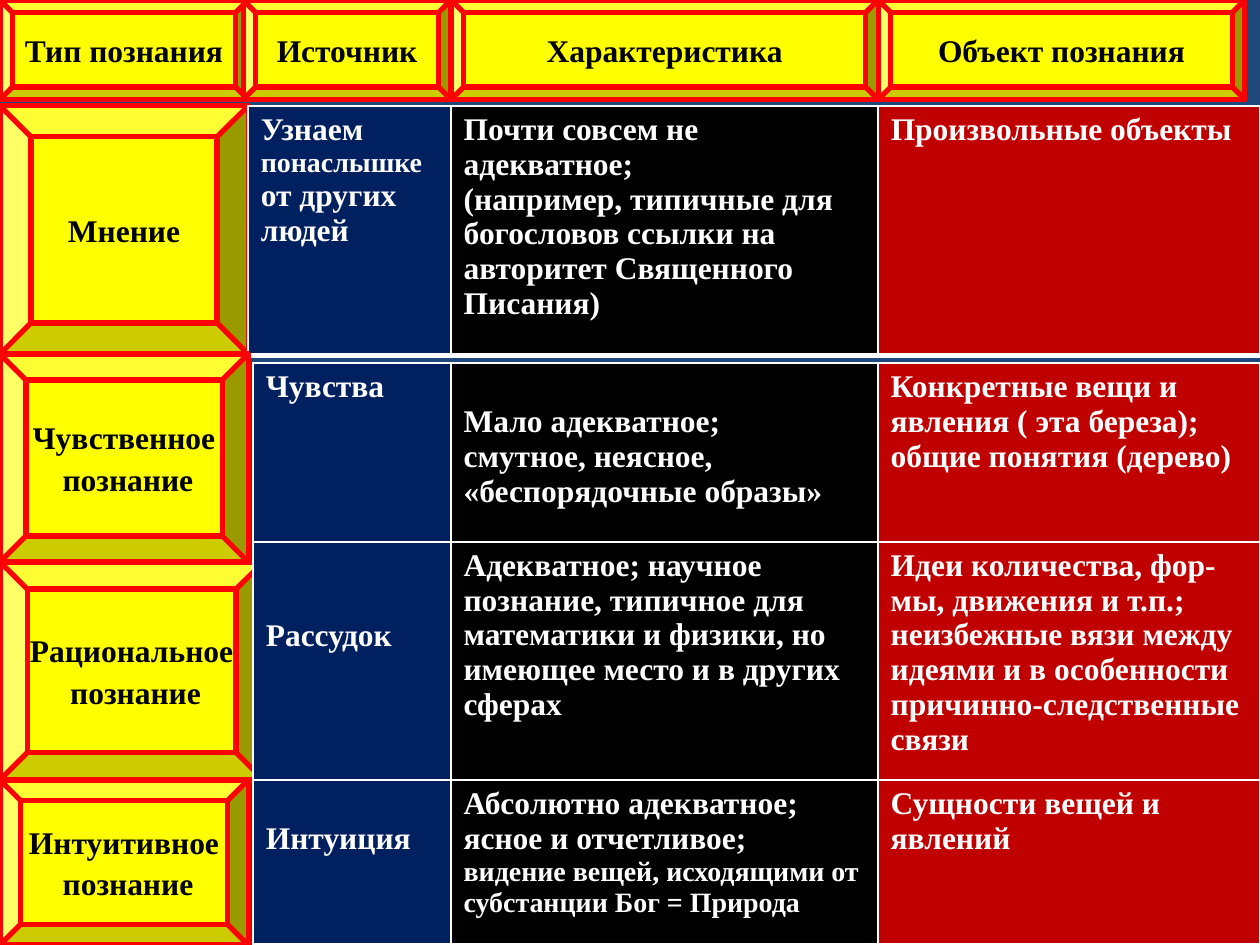
from dataclasses import dataclass

from lxml import etree
from pptx import Presentation
from pptx import util as u
from pptx.dml.color import RGBColor
from pptx.enum import shapes, text
from pptx.oxml.ns import qn

FONT = "Times New Roman"
BODY_SIZE, SMALL_SIZE = 18, 16
LINE_HEIGHT = 0.28
HEADER_HEIGHT = 0.79
SOURCE_RIGHT, TRAIT_RIGHT, SLIDE_RIGHT = 3.58, 6.97, 10
COLUMN_FILLS = ("002060", "000000", "C00000")
BORDER_WIDTHS = {"a:lnL": 1, "a:lnR": 1, "a:lnT": 1, "a:lnB": 3}


@dataclass(frozen=True)
class Piece:
    wording: str
    size: int = BODY_SIZE


@dataclass(frozen=True)
class Entry:
    pieces: tuple[Piece, ...]
    lines_down: int = 0


@dataclass(frozen=True)
class Bevel:
    lines: tuple[str, ...]
    left: float
    top: float
    width: float
    height: float


@dataclass(frozen=True)
class Knowledge:
    kind: Bevel
    left: float
    top: float
    height: float
    entries: tuple[Entry, Entry, Entry]


def entry(wording: str, lines_down: int = 0) -> Entry:
    return Entry((Piece(wording),), lines_down)


HEADERS = (
    Bevel(("Тип познания",), 0, 0, 1.97, HEADER_HEIGHT),
    Bevel(("Источник",), 1.93, 0, 1.65, HEADER_HEIGHT),
    Bevel(("Характеристика",), SOURCE_RIGHT, 0, 3.39, HEADER_HEIGHT),
    Bevel(("Объект познания",), TRAIT_RIGHT, 0, 2.91, HEADER_HEIGHT),
)

KNOWLEDGE = (
    Knowledge(
        Bevel(("Мнение",), 0, 0.84, 1.97, 1.97), 1.97, 0.84, 1.98,
        (
            Entry((Piece("Узнаем "), Piece("понаслышке ", SMALL_SIZE),
                   Piece("от других людей"))),
            entry("Почти совсем не адекватное;\n(например, типичные для "
                  "богословов ссылки на авторитет Священного Писания)"),
            entry("Произвольные объекты"),
        ),
    ),
    Knowledge(
        Bevel(("Чувственное", " познание"), 0, 2.81, 1.97, 1.65), 2.01, 2.88, 1.65,
        (
            entry("Чувства"),
            entry("Мало адекватное;\nсмутное, неясное,\n«беспорядочные образы»", 1),
            entry("Конкретные вещи и явления ( эта береза); общие понятия (дерево)"),
        ),
    ),
    Knowledge(
        Bevel(("Рациональное", " познание"), 0, 4.46, 2.09, 1.73), 2.01, 4.3, 2.05,
        (
            entry("Рассудок", 2),
            entry("Адекватное; научное познание, типичное для математики и физики, "
                  "но имеющее место и в других сферах"),
            entry("Идеи количества, фор-мы, движения и т.п.; неизбежные вязи между "
                  "идеями и в особенности причинно-следственные связи"),
        ),
    ),
    Knowledge(
        Bevel(("Интуитивное", " познание"), 0, 6.19, 1.97, 1.31), 2.01, 6.19, 1.31,
        (
            entry("Интуиция", 1),
            Entry((Piece("Абсолютно адекватное;\nясное и отчетливое;\n"),
                   Piece("видение вещей, исходящими от субстанции Бог = Природа",
                         SMALL_SIZE))),
            entry("Сущности вещей и явлений"),
        ),
    ),
)


def paint(fill, color: str) -> None:
    fill.solid()
    fill.fore_color.rgb = RGBColor.from_string(color)


def add_run(paragraph, wording: str, size: int, color: str) -> None:
    run = paragraph.add_run()
    run.text = wording
    run.font.name = FONT
    run.font.size = u.Pt(size)
    run.font.bold = True
    paint(run.font.fill, color)


def draw_bevel(slide, bevel: Bevel) -> None:
    plate = slide.shapes.add_shape(
        shapes.MSO_SHAPE.BEVEL, u.Inches(bevel.left), u.Inches(bevel.top),
        u.Inches(bevel.width), u.Inches(bevel.height))
    plate.shadow.inherit = False
    paint(plate.fill, "FFFF00")
    paint(plate.line.fill, "FF0000")
    plate.line.width = u.Pt(3)
    frame = plate.text_frame
    frame.word_wrap = False
    frame.vertical_anchor = text.MSO_ANCHOR.MIDDLE
    for index, line in enumerate(bevel.lines):
        paragraph = frame.add_paragraph() if index else frame.paragraphs[0]
        paragraph.alignment = text.PP_ALIGN.CENTER
        if index:
            paragraph.space_before = u.Pt(2)
        add_run(paragraph, line, BODY_SIZE, "000000")


def add_borders(cell) -> None:
    properties = cell._tc.get_or_add_tcPr()
    for position, (tag, width) in enumerate(BORDER_WIDTHS.items()):
        border = etree.Element(qn(tag), w=str(u.Pt(width)))
        fill = etree.SubElement(border, qn("a:solidFill"))
        etree.SubElement(fill, qn("a:srgbClr"), val="FFFFFF")
        properties.insert(position, border)


def write_entry(cell, content: Entry, color: str) -> None:
    paint(cell.fill, color)
    add_borders(cell)
    cell.margin_top = u.Inches(0.05 + content.lines_down * LINE_HEIGHT)
    paragraph = cell.text_frame.paragraphs[0]
    for piece in content.pieces:
        for index, line in enumerate(piece.wording.split("\n")):
            if index:
                paragraph.add_line_break()
            if line:
                add_run(paragraph, line, piece.size, "FFFFFF")


def draw_knowledge(slide, knowledge: Knowledge) -> None:
    draw_bevel(slide, knowledge.kind)
    edges = (knowledge.left, SOURCE_RIGHT, TRAIT_RIGHT, SLIDE_RIGHT)
    table = slide.shapes.add_table(
        1, 3, u.Inches(knowledge.left), u.Inches(knowledge.top),
        u.Inches(SLIDE_RIGHT - knowledge.left), u.Inches(knowledge.height)).table
    table.first_row = False
    table.horz_banding = False
    for index, (content, color) in enumerate(zip(knowledge.entries, COLUMN_FILLS)):
        table.columns[index].width = u.Inches(edges[index + 1] - edges[index])
        write_entry(table.cell(0, index), content, color)


def main() -> None:
    presentation = Presentation()
    presentation.slide_width = u.Inches(10)
    presentation.slide_height = u.Inches(7.5)
    slide = presentation.slides.add_slide(presentation.slide_layouts[6])
    paint(slide.background.fill, "1F497D")
    for header in HEADERS:
        draw_bevel(slide, header)
    for knowledge in KNOWLEDGE:
        draw_knowledge(slide, knowledge)
    presentation.save("out.pptx")


if __name__ == "__main__":
    main()
